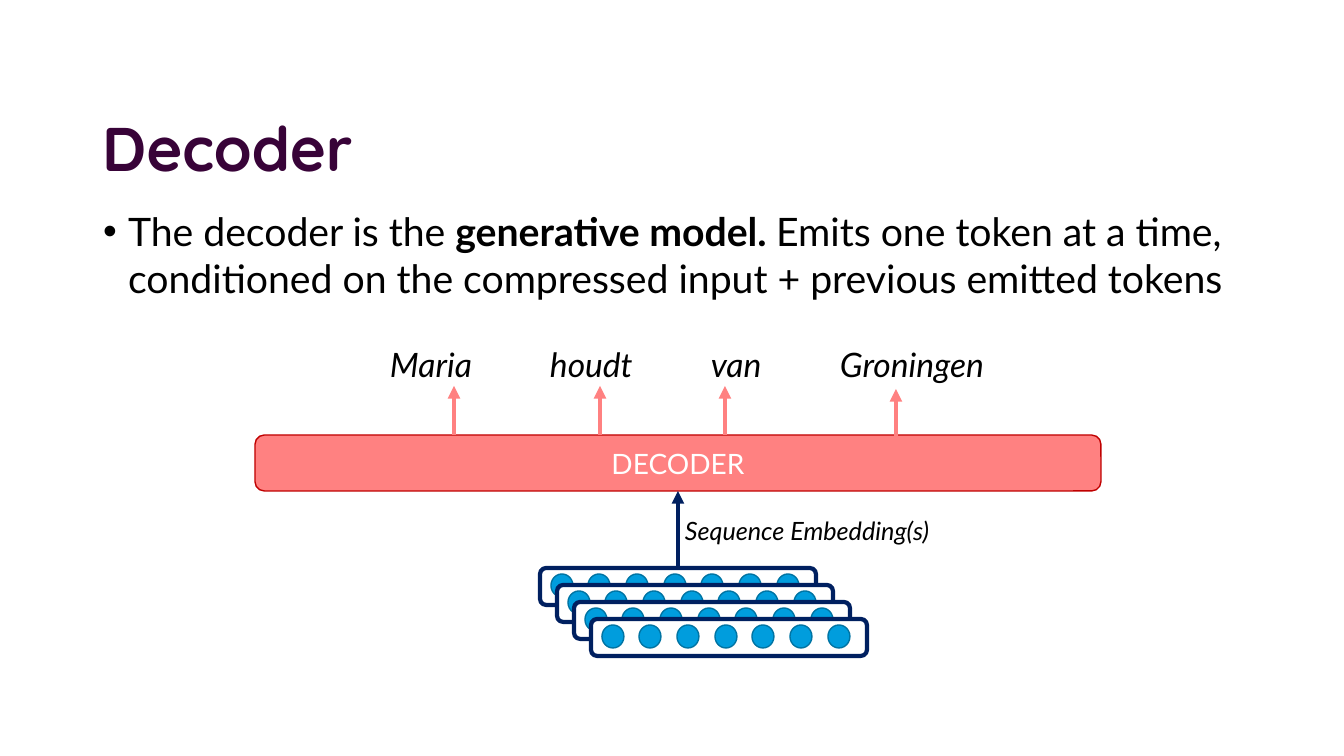
"""Build the slide that explains the decoder of a sequence-to-sequence model."""
import pptx
import pptx.dml.color
import pptx.enum.dml
import pptx.enum.shapes
import pptx.enum.text
import pptx.oxml
import pptx.oxml.ns
import pptx.util

RGBColor = pptx.dml.color.RGBColor
Pt = pptx.util.Pt
ALIGN = pptx.enum.text.PP_ALIGN
ANCHOR = pptx.enum.text.MSO_ANCHOR
SHAPE = pptx.enum.shapes.MSO_SHAPE
STRAIGHT = pptx.enum.shapes.MSO_CONNECTOR.STRAIGHT

BLACK = RGBColor(0x00, 0x00, 0x00)
WHITE = RGBColor(0xFF, 0xFF, 0xFF)
PLUM = RGBColor(0x38, 0x03, 0x38)
CORAL = RGBColor(0xFF, 0x81, 0x81)
RED = RGBColor(0xC0, 0x00, 0x00)
NAVY = RGBColor(0x00, 0x20, 0x60)
BLUE = RGBColor(0x00, 0x9D, 0xDD)
DEEP_BLUE = RGBColor(0x00, 0x74, 0xA3)

PX = 914400 / 100.8
TITLE_FONT = {"name": "Quicksand", "size": Pt(44), "bold": True}
BODY_FONT = {"name": "Lato", "size": Pt(28), "bold": False}
STRONG_FONT = {"name": "Lato", "size": Pt(28), "bold": True}
BAR_FONT = {"name": "Lato", "size": Pt(20)}
TOKEN_FONT = {"name": "Lato", "size": Pt(24), "italic": True}
LABEL_FONT = {"name": "Lato", "size": Pt(18), "italic": True}


def px(*lengths):
    """Turn pixel lengths into EMU."""
    return [pptx.util.Emu(round(length * PX)) for length in lengths]


def add_block(shapes, kind, box, fill, line=None, width=0):
    """Add a flat preset shape, outlined if a line colour is given."""
    block = shapes.add_shape(kind, *px(*box))
    block.shadow.inherit = False
    block.fill.solid()
    block.fill.fore_color.rgb = fill
    if line is None:
        block.line.fill.background()
    else:
        block.line.color.rgb = line
        block.line.width = Pt(width)
    return block


deck = pptx.Presentation()
deck.slide_width, deck.slide_height = px(1344, 756)
slide = deck.slides.add_slide(deck.slide_layouts[1])
heading, explanation = slide.placeholders

for holder, box in ((heading, (92, 102, 1159, 100)), (explanation, (93, 202, 1159, 480))):
    holder.left, holder.top, holder.width, holder.height = px(*box)
    holder.text_frame.auto_size = pptx.enum.text.MSO_AUTO_SIZE.NONE
heading.text_frame.vertical_anchor = ANCHOR.MIDDLE
heading_line = heading.text_frame.paragraphs[0]
heading_line.alignment = ALIGN.LEFT
heading_line.line_spacing = 0.9

explanation_line = explanation.text_frame.paragraphs[0]
explanation_line.space_before = Pt(0)
hanging, = px(25)
explanation_format = explanation_line._p.get_or_add_pPr()
explanation_format.set("marL", str(hanging))
explanation_format.set("indent", str(-hanging))

embeddings = []
for layer in range(4):
    left, top = 540 + 17 * layer, 568 + 17 * layer
    embedding = slide.shapes.add_group_shape()
    frame = add_block(embedding.shapes, SHAPE.ROUNDED_RECTANGLE,
                      (left, top, 276, 37), WHITE, NAVY, 3)
    for unit in range(7):
        add_block(embedding.shapes, SHAPE.OVAL,
                  (left + 11 + 226 * unit // 6, top + 6, 22, 23), BLUE, DEEP_BLUE, 1)
    embeddings.append(frame)

decoder = add_block(slide.shapes, SHAPE.ROUNDED_RECTANGLE, (255, 435, 846, 56), CORAL, RED, 1)
decoder.text_frame.vertical_anchor = ANCHOR.MIDDLE
decoder_line = decoder.text_frame.paragraphs[0]
decoder_line.alignment = ALIGN.CENTER

tokens = add_block(slide.shapes, SHAPE.RECTANGLE, (249, 339, 875, 50), WHITE)
tokens.text_frame.vertical_anchor = ANCHOR.MIDDLE
tokens.text_frame.margin_left, = px(141)
tokens_line = tokens.text_frame.paragraphs[0]
tokens_line.alignment = ALIGN.LEFT
stops = pptx.oxml.parse_xml("<a:tabLst %s/>" % pptx.oxml.ns.nsdecls("a"))
for stop in px(160, 321, 450):
    stops.append(pptx.oxml.parse_xml(
        '<a:tab %s pos="%d" algn="l"/>' % (pptx.oxml.ns.nsdecls("a"), stop)))
tokens_line._p.get_or_add_pPr().append(stops)

label = slide.shapes.add_textbox(*px(675, 510, 477, 40))
label.text_frame.word_wrap = True
label_line = label.text_frame.paragraphs[0]

for paragraph, text, font, color in (
    (heading_line, "Decoder", TITLE_FONT, PLUM),
    (explanation_line, "The decoder is the ", BODY_FONT, BLACK),
    (explanation_line, "generative model. ", STRONG_FONT, BLACK),
    (explanation_line, "Emits one token at a time, conditioned on the compressed input"
     " + previous emitted tokens", BODY_FONT, BLACK),
    (decoder_line, "DECODER", BAR_FONT, WHITE),
    (tokens_line, "\t".join(("Maria", "houdt", "van", "Groningen")), TOKEN_FONT, BLACK),
    (label_line, "Sequence Embedding(s)", LABEL_FONT, BLACK),
):
    run = paragraph.add_run()
    run.text = text
    for attribute, value in font.items():
        setattr(run.font, attribute, value)
    run.font.color.rgb = color

arrows = []
for x, start in ((454, 435), (600, 435), (725, 435), (896, 438)):
    emission = slide.shapes.add_connector(STRAIGHT, *px(x, start, x, start - 49))
    arrows.append((emission, CORAL))
conditioning = slide.shapes.add_connector(STRAIGHT, *px(678, 568, 678, 491))
conditioning.begin_connect(embeddings[0], 0)
conditioning.end_connect(decoder, 2)
arrows.append((conditioning, NAVY))

for arrow, color in arrows:
    arrow.line.color.rgb = color
    arrow.line.width = Pt(3)
    arrow.line._get_or_add_ln().append(pptx.oxml.parse_xml(
        '<a:tailEnd %s type="triangle"/>' % pptx.oxml.ns.nsdecls("a")))
    arrow._element.spPr.append(pptx.oxml.parse_xml(
        "<a:effectLst %s/>" % pptx.oxml.ns.nsdecls("a")))

deck.save("out.pptx")
